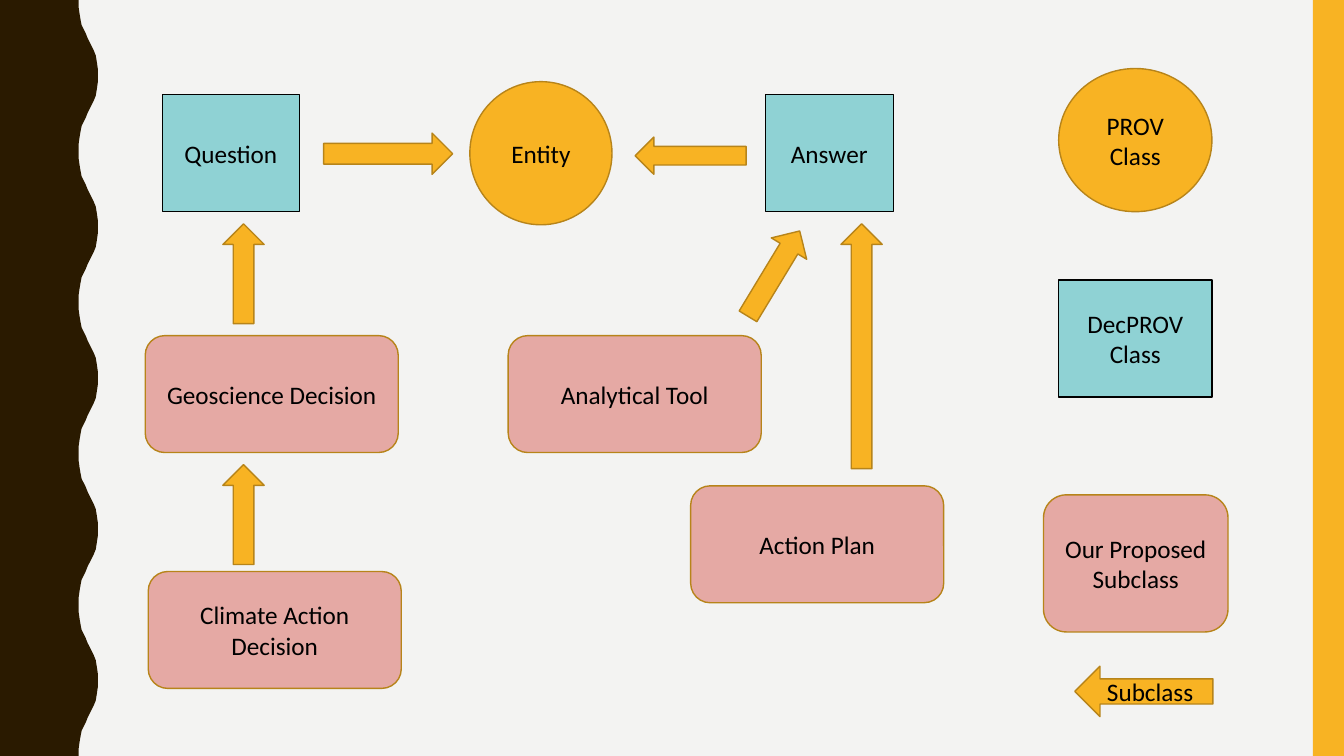
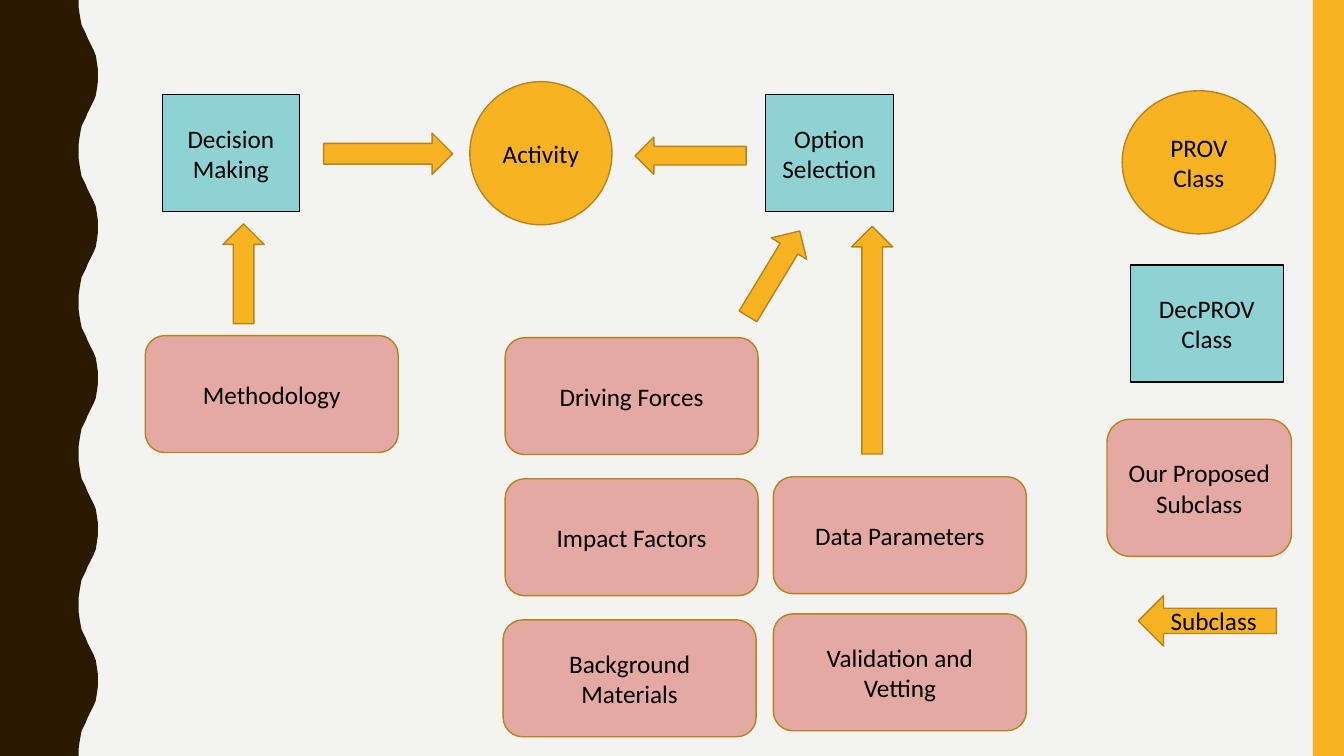
"""Build two class diagrams that share one frame, one legend and one set of node styles."""
import dataclasses
import typing

import pptx
import pptx.dml.color
import pptx.enum.shapes
import pptx.enum.text
import pptx.slide
import pptx.util

Inches = pptx.util.Inches
PRESET = pptx.enum.shapes.MSO_SHAPE

PAPER, BARK, AMBER = "F3F3F2", "2A1A00", "F8B323"
BRONZE, AQUA, ROSE, BLACK = "B7841A", "8FD2D4", "E5A9A4", "000000"
FONT, TEXT_SIZE = "Calibri", 18
WIDTH, HEIGHT = 13.33, 7.5
HALF_WAVE = [
    (78, 0), (78, 7), (79, 14), (80, 20), (81, 25), (83, 29), (85, 33), (87, 38),
    (89, 42), (91, 46), (93, 50), (95, 55), (96, 61), (97, 68), (97, 75),
]
WAVE_PERIOD, WAVE_COUNT = 150, 5


@dataclasses.dataclass(frozen=True)
class Style:
    """Outline and colours of one family of shapes."""
    preset: pptx.enum.shapes.MSO_SHAPE
    fill: str
    line: typing.Optional[str]


PROV = Style(PRESET.OVAL, AMBER, BRONZE)
DECPROV = Style(PRESET.RECTANGLE, AQUA, BLACK)
PROPOSED = Style(PRESET.ROUNDED_RECTANGLE, ROSE, BRONZE)
SUBCLASS = Style(PRESET.LEFT_ARROW, AMBER, BRONZE)
EDGE = Style(PRESET.RECTANGLE, AMBER, None)


@dataclasses.dataclass(frozen=True)
class Node:
    """One shape of a diagram, measured in inches."""
    style: Style
    left: float
    top: float
    width: float
    height: float
    label: str = ""
    rotation: float = 0


@dataclasses.dataclass(frozen=True)
class Legend:
    """Place of the legend and of its four entries."""
    left: float
    prov_top: float
    decprov_top: float
    proposed_top: float
    subclass_top: float
    decprov_shift: float = 0


def colour(value: str) -> pptx.dml.color.RGBColor:
    """Turn a hex string into a colour."""
    return pptx.dml.color.RGBColor.from_string(value)


def paint(shape: typing.Any, fill: str, line: typing.Optional[str]) -> None:
    """Give a shape its fill and outline, without shadow."""
    shape.shadow.inherit = False
    shape.fill.solid()
    shape.fill.fore_color.rgb = colour(fill)
    if line is None:
        shape.line.fill.background()
    else:
        shape.line.color.rgb = colour(line)
        shape.line.width = pptx.util.Pt(1)


def write(shape: typing.Any, label: str) -> None:
    """Write a centred label, one paragraph per line."""
    frame = shape.text_frame
    frame.word_wrap = True
    frame.vertical_anchor = pptx.enum.text.MSO_ANCHOR.MIDDLE
    for index, line in enumerate(label.split("\n")):
        paragraph = frame.add_paragraph() if index else frame.paragraphs[0]
        paragraph.alignment = pptx.enum.text.PP_ALIGN.CENTER
        run = paragraph.add_run()
        run.text = line
        run.font.name = FONT
        run.font.size = pptx.util.Pt(TEXT_SIZE)
        run.font.color.rgb = colour(BLACK)


def draw(slide: pptx.slide.Slide, node: Node) -> None:
    """Draw one node or arrow."""
    shape = slide.shapes.add_shape(
        node.style.preset, Inches(node.left), Inches(node.top),
        Inches(node.width), Inches(node.height),
    )
    shape.rotation = node.rotation
    paint(shape, node.style.fill, node.style.line)
    if node.label:
        write(shape, node.label)


def draw_frame(slide: pptx.slide.Slide) -> None:
    """Draw the background, the wavy band and the right edge."""
    slide.background.fill.solid()
    slide.background.fill.fore_color.rgb = colour(PAPER)
    wave = HALF_WAVE + [(x, WAVE_PERIOD - y) for x, y in reversed(HALF_WAVE[:-1])]
    outline = [(x, y + WAVE_PERIOD * turn) for turn in range(WAVE_COUNT) for x, y in wave]
    builder = slide.shapes.build_freeform(0, 0, scale=Inches(0.01))
    builder.add_line_segments(outline + [(0, WAVE_PERIOD * WAVE_COUNT)], close=True)
    paint(builder.convert_to_shape(), BARK, None)
    draw(slide, Node(EDGE, 13.02, 0, 0.31, HEIGHT))


def legend_nodes(legend: Legend) -> list[Node]:
    """List the four legend entries."""
    left = legend.left
    return [
        Node(PROV, left, legend.prov_top, 1.52, 1.42, "PROV Class"),
        Node(DECPROV, left + legend.decprov_shift, legend.decprov_top, 1.52, 1.16, "DecPROV\nClass"),
        Node(PROPOSED, left - 0.15, legend.proposed_top, 1.83, 1.36, "Our Proposed Subclass"),
        Node(SUBCLASS, left + 0.16, legend.subclass_top, 1.37, 0.5, "Subclass"),
    ]


def core_nodes(left_class: str, parent: str, right_class: str) -> list[Node]:
    """List the top row and the arrows found in every diagram."""
    return [
        Node(DECPROV, 1.61, 0.94, 1.36, 1.16, left_class),
        Node(PROV, 4.66, 0.81, 1.41, 1.42, parent),
        Node(DECPROV, 7.59, 0.94, 1.27, 1.16, right_class),
        Node(SUBCLASS, 3.21, 1.32, 1.28, 0.41, rotation=180),
        Node(SUBCLASS, 6.3, 1.36, 1.1, 0.37),
        Node(SUBCLASS, 7.18, 2.51, 0.99, 0.41, rotation=121.2),
        upward(1.92, 2.51, 0.99),
    ]


def upward(left: float, top: float, length: float) -> Node:
    """Describe an arrow that points up."""
    return Node(SUBCLASS, left, top, length, 0.41, rotation=90)


def proposed(left: float, top: float, label: str) -> Node:
    """Describe a proposed subclass."""
    return Node(PROPOSED, left, top, 2.51, 1.16, label)


ENTITY_DIAGRAM = [
    *core_nodes("Question", "Entity", "Answer"),
    upward(1.92, 4.9, 0.99),
    upward(7.33, 3.23, 2.43),
    proposed(1.44, 3.33, "Geoscience Decision"),
    proposed(1.47, 5.67, "Climate Action Decision"),
    proposed(5.04, 3.33, "Analytical Tool"),
    proposed(6.85, 4.82, "Action Plan"),
    *legend_nodes(Legend(10.5, 0.68, 2.78, 4.91, 6.61)),
]
ACTIVITY_DIAGRAM = [
    *core_nodes("Decision Making", "Activity", "Option Selection"),
    upward(7.52, 3.17, 2.26),
    proposed(1.44, 3.33, "Methodology"),
    proposed(5.01, 3.35, "Driving Forces"),
    proposed(5.01, 4.75, "Impact Factors"),
    proposed(4.99, 6.15, "Background Materials"),
    proposed(7.67, 4.73, "Data Parameters"),
    proposed(7.67, 6.09, "Validation and Vetting"),
    *legend_nodes(Legend(11.13, 0.9, 2.63, 4.16, 5.91, decprov_shift=0.08)),
]


def main() -> None:
    """Build and save the presentation."""
    deck = pptx.Presentation()
    deck.slide_width, deck.slide_height = Inches(WIDTH), Inches(HEIGHT)
    for diagram in (ENTITY_DIAGRAM, ACTIVITY_DIAGRAM):
        slide = deck.slides.add_slide(deck.slide_layouts[6])
        draw_frame(slide)
        for node in diagram:
            draw(slide, node)
    deck.save("out.pptx")


if __name__ == "__main__":
    main()
